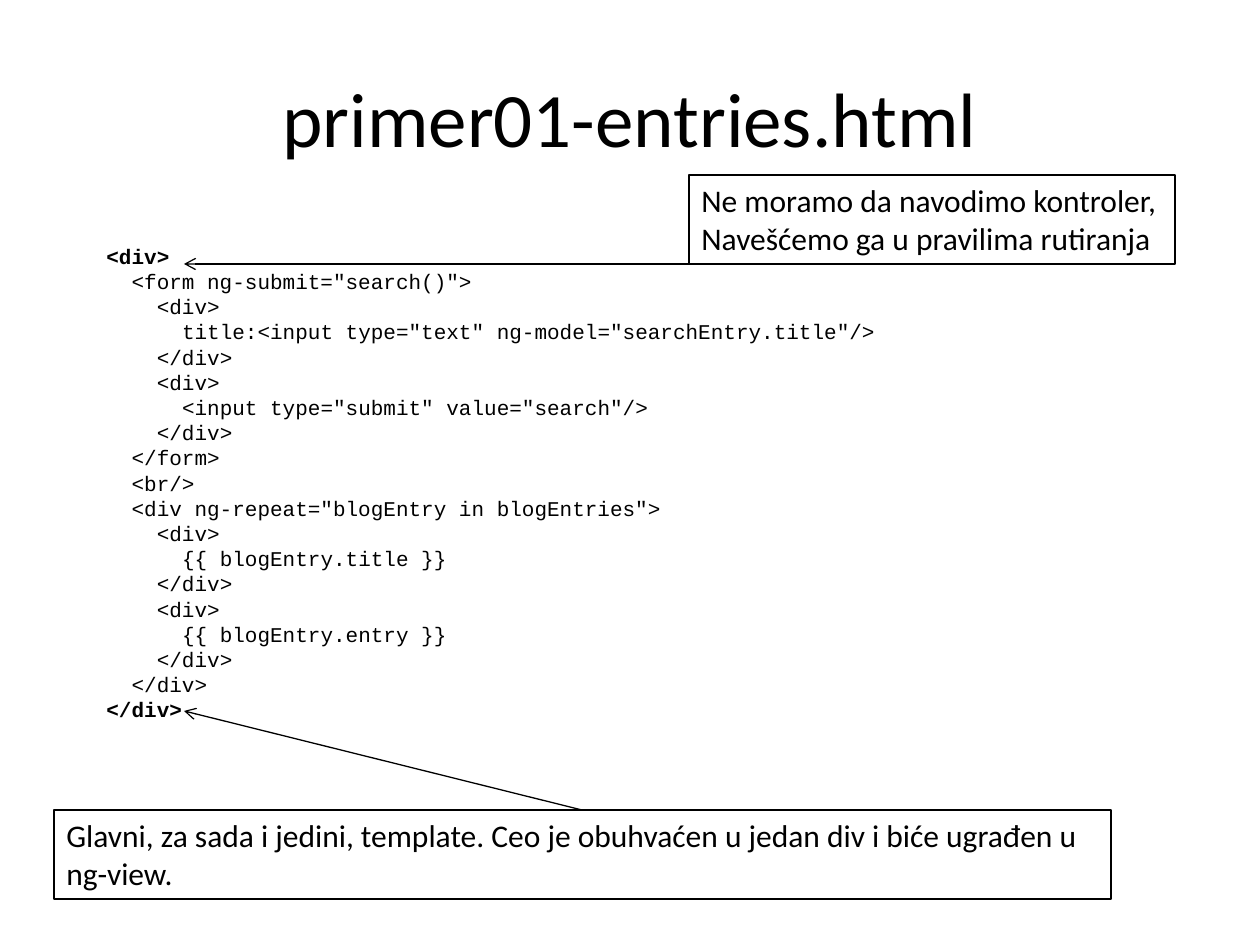
import pptx
import pptx.util
import pptx.dml.color
import pptx.enum.shapes
import pptx.enum.text
import pptx.oxml
import pptx.oxml.ns

SCALE = 914400 / 126
BLACK = pptx.dml.color.RGBColor(0, 0, 0)
MID = pptx.enum.text.MSO_ANCHOR.MIDDLE
TOP = pptx.enum.text.MSO_ANCHOR.TOP
MONO = "Courier New"
THEME = {
    "ink": BLACK,
    "line": pptx.util.Pt(0.75),
    "step": pptx.util.Pt(14.4),
    "title": {"name": "Calibri", "size": pptx.util.Pt(44)},
    "note": {"name": "Calibri", "size": pptx.util.Pt(18)},
    "code": {"name": MONO, "size": pptx.util.Pt(12), "bold": False},
    "root": {"name": MONO, "size": pptx.util.Pt(12), "bold": True},
}
CODE = [
    (0, '<div>'),
    (1, '<form ng-submit="search()">'),
    (2, '<div>'),
    (3, 'title:<input type="text" ng-model="searchEntry.title"/>'),
    (2, '</div>'),
    (2, '<div>'),
    (3, '<input type="submit" value="search"/>'),
    (2, '</div>'),
    (1, '</form>'),
    (1, '<br/>'),
    (1, '<div ng-repeat="blogEntry in blogEntries">'),
    (2, '<div>'),
    (3, '{{ blogEntry.title }}'),
    (2, '</div>'),
    (2, '<div>'),
    (3, '{{ blogEntry.entry }}'),
    (2, '</div>'),
    (1, '</div>'),
    (0, '</div>'),
]


def px(num):
    return pptx.util.Emu(round(num * SCALE))


def apply(item, style):
    for key, value in style.items():
        setattr(item, key, value)


def write(para, text, style):
    run = para.add_run()
    run.text = text
    apply(run.font, style)
    run.font.color.rgb = THEME["ink"]


def add_text(slide, box, wrap, anchor):
    shape = slide.shapes.add_textbox(*map(px, box))
    frame = shape.text_frame
    apply(frame, {"word_wrap": wrap, "vertical_anchor": anchor})
    return shape


def lines(frame, count):
    return [frame.paragraphs[0]] + [frame.add_paragraph() for _ in range(count - 1)]


def add_title(slide, box, text):
    para = add_text(slide, box, True, MID).text_frame.paragraphs[0]
    para.alignment = pptx.enum.text.PP_ALIGN.CENTER
    write(para, text, THEME["title"])


def add_code(slide, box, code):
    frame = add_text(slide, box, True, TOP).text_frame
    for para, (depth, text) in zip(lines(frame, len(code)), code):
        para._p.get_or_add_pPr().set("marL", str(depth * THEME["step"]))
        write(para, text, THEME["code" if depth else "root"])


def add_arrow(slide, start, end):
    kind = pptx.enum.shapes.MSO_CONNECTOR.STRAIGHT
    arrow = slide.shapes.add_connector(kind, *map(px, start + end))
    arrow.line.color.rgb = THEME["ink"]
    arrow.line.width = THEME["line"]
    tail = pptx.oxml.parse_xml(
        "<a:tailEnd %s type='arrow'/>" % pptx.oxml.ns.nsdecls("a"))
    arrow.line._get_or_add_ln().append(tail)
    flat = pptx.oxml.parse_xml("<a:effectLst %s/>" % pptx.oxml.ns.nsdecls("a"))
    arrow._element.spPr.append(flat)


def add_note(slide, box, texts, edge, tip):
    left, top, width, height = box
    note = add_text(slide, box, False, TOP)
    note.line.color.rgb = THEME["ink"]
    note.line.width = THEME["line"]
    for para, text in zip(lines(note.text_frame, len(texts)), texts):
        write(para, text, THEME["note"])
    add_arrow(slide, (left + width // 2, top + edge * height), tip)


def main():
    deck = pptx.Presentation()
    deck.slide_width, deck.slide_height = px(1260), px(945)
    slide = deck.slides.add_slide(deck.slide_layouts[6])
    add_title(slide, (63, 38, 1134, 158), "primer01-entries.html")
    add_code(slide, (94, 237, 1101, 522), CODE)
    add_note(slide, (689, 175, 486, 89),
             ["Ne moramo da navodimo kontroler,",
              "Navešćemo ga u pravilima rutiranja"], 1, (184, 264))
    add_note(slide, (54, 810, 1057, 89),
             ["Glavni, za sada i jedini, template. Ceo je obuhvaćen u jedan div i biće ugrađen u",
              "ng-view."], 0, (184, 711))
    deck.save("out.pptx")


if __name__ == "__main__":
    main()
